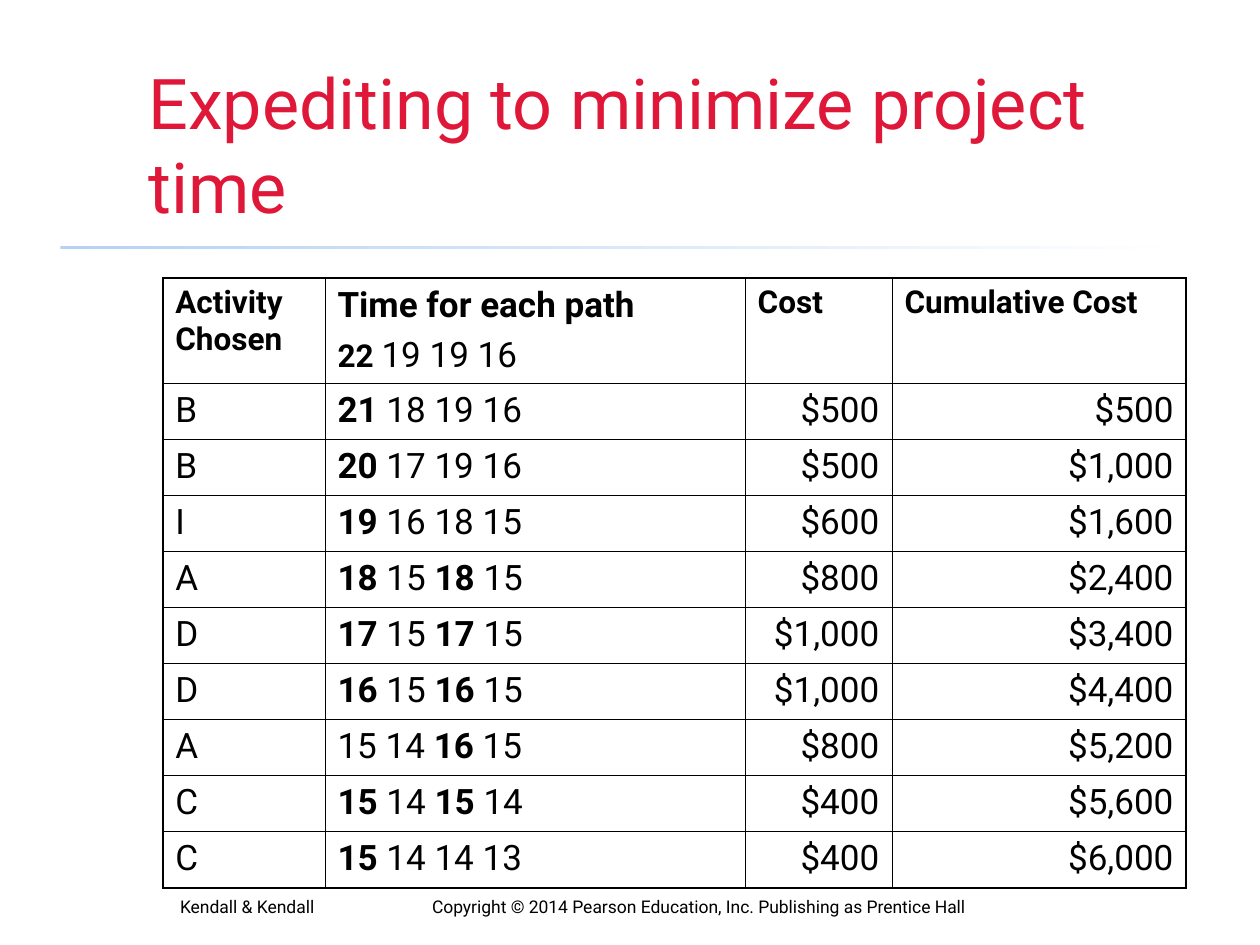
from dataclasses import dataclass
from itertools import accumulate

from pptx import Presentation
from pptx.dml.color import RGBColor
from pptx.enum.shapes import MSO_SHAPE
from pptx.enum.text import MSO_ANCHOR, PP_ALIGN
from pptx.oxml import parse_xml
from pptx.oxml.ns import nsdecls
from pptx.util import Cm, Pt

RECT = MSO_SHAPE.RECTANGLE
TOP, BOTTOM = MSO_ANCHOR.TOP, MSO_ANCHOR.BOTTOM
LEFT, RIGHT = PP_ALIGN.LEFT, PP_ALIGN.RIGHT

FONT = "Roboto"
BLACK = RGBColor(0x00, 0x00, 0x00)
WHITE = RGBColor(0xFF, 0xFF, 0xFF)
RED = RGBColor(0xDF, 0x17, 0x38)
LIGHT_BLUE = RGBColor(0xB5, 0xD2, 0xF5)
THIN, THICK = Pt(0.45), Pt(1.08)


@dataclass
class Step:
    activity: str
    times: tuple[int, ...]
    cost: int


START_TIMES = (22, 19, 19, 16)
STEPS = [
    Step("B", (21, 18, 19, 16), 500),
    Step("B", (20, 17, 19, 16), 500),
    Step("I", (19, 16, 18, 15), 600),
    Step("A", (18, 15, 18, 15), 800),
    Step("D", (17, 15, 17, 15), 1000),
    Step("D", (16, 15, 16, 15), 1000),
    Step("A", (15, 14, 16, 15), 800),
    Step("C", (15, 14, 15, 14), 400),
    Step("C", (15, 14, 14, 13), 400),
]
HEADINGS = [("Activity Chosen", 18), ("Time for each path", 20),
            ("Cost", 18), ("Cumulative Cost", 18)]
COL_WIDTHS = [Cm(3.27), Cm(8.47), Cm(2.96), Cm(5.93)]
HEADER_HEIGHT, ROW_HEIGHT = Cm(2.12), Cm(1.13)


def style_run(r, size: float, bold: bool = False, color: RGBColor = BLACK) -> None:
    r.font.name = FONT
    r.font.size = Pt(size)
    r.font.bold = bold
    r.font.color.rgb = color


def write(p, text: str, size: float, bold: bool = False,
          color: RGBColor = BLACK, align=LEFT) -> None:
    p.text = text
    p.alignment = align
    for r in p.runs:
        style_run(r, size, bold, color)


def write_times(p, times: tuple[int, ...], bold_size: float = 20) -> None:
    """List the path times, with the longest ones in bold."""
    for i, time in enumerate(times):
        critical = time == max(times)
        r = p.add_run()
        r.text = f"{time} " if i < len(times) - 1 else str(time)
        style_run(r, bold_size if critical else 20, critical)


def add_borders(cell, row: int, col: int, last_row: int, last_col: int) -> None:
    """Thick lines round the table, thin ones inside."""
    outer = {"L": col == 0, "R": col == last_col, "T": row == 0, "B": row == last_row}
    tc_pr = cell._tc.get_or_add_tcPr()
    for side, is_outer in outer.items():
        width = THICK if is_outer else THIN
        tc_pr.append(parse_xml(
            f'<a:ln{side} {nsdecls("a")} w="{width}"><a:solidFill>'
            f'<a:srgbClr val="{BLACK}"/></a:solidFill></a:ln{side}>'))
    cell.fill.background()


def add_title(s) -> None:
    title = s.shapes.title
    title.left, title.top, title.width, title.height = Cm(2.74), Cm(1.07), Cm(21.87), Cm(3.18)
    tf = title.text_frame
    tf.vertical_anchor = TOP
    write(tf.paragraphs[0], "Expediting to minimize project time", 40, color=RED)


def add_rule(s) -> None:
    rule = s.shapes.add_shape(RECT, Cm(1.22), Cm(4.95), Cm(22.86), Cm(0.08))
    rule.shadow.inherit = False
    rule.line.fill.background()
    rule.fill.gradient()
    rule.fill.gradient_angle = 0
    for stop, color in zip(rule.fill.gradient_stops, (LIGHT_BLUE, WHITE)):
        stop.color.rgb = color


def add_cost_table(s) -> None:
    n_rows, n_cols = len(STEPS) + 1, len(HEADINGS)
    frame = s.shapes.add_table(n_rows, n_cols, Cm(3.28), Cm(5.61), sum(COL_WIDTHS),
                               HEADER_HEIGHT + len(STEPS) * ROW_HEIGHT)
    table = frame.table
    table.first_row = table.horz_banding = False
    for column, width in zip(table.columns, COL_WIDTHS):
        column.width = width
    for i, row in enumerate(table.rows):
        row.height = ROW_HEIGHT if i else HEADER_HEIGHT
        for j, cell in enumerate(row.cells):
            add_borders(cell, i, j, n_rows - 1, n_cols - 1)

    # Header row, with the times before any expediting
    for j, (text, size) in enumerate(HEADINGS):
        write(table.cell(0, j).text_frame.paragraphs[0], text, size, bold=True)
    p = table.cell(0, 1).text_frame.add_paragraph()
    p.space_before = Pt(5)
    write_times(p, START_TIMES, bold_size=18)

    # One row for each expedited activity
    totals = accumulate(step.cost for step in STEPS)
    for i, (step, total) in enumerate(zip(STEPS, totals), start=1):
        activity, times, cost, cumulative = (
            table.cell(i, j).text_frame.paragraphs[0] for j in range(n_cols))
        write(activity, step.activity, 20)
        write_times(times, step.times)
        write(cost, f"${step.cost:,}", 20, align=RIGHT)
        write(cumulative, f"${total:,}", 20, align=RIGHT)


def add_footer(s) -> None:
    tf = s.shapes.add_textbox(Cm(3.38), Cm(17.35), Cm(16.94), Cm(1.27)).text_frame
    tf.word_wrap = True
    tf.vertical_anchor = BOTTOM
    p = tf.paragraphs[0]
    p._p.get_or_add_pPr().append(parse_xml(
        f'<a:tabLst {nsdecls("a")}><a:tab pos="{Cm(5.08)}" algn="l"/></a:tabLst>'))
    write(p, "Kendall & Kendall\tCopyright © 2014 Pearson Education, Inc. "
             "Publishing as Prentice Hall", 10)


def main() -> None:
    prs = Presentation()
    prs.slide_width, prs.slide_height = Cm(25.4), Cm(19.05)
    s = prs.slides.add_slide(prs.slide_layouts[5])
    add_rule(s)
    add_footer(s)
    add_title(s)
    add_cost_table(s)
    prs.save("out.pptx")


if __name__ == "__main__":
    main()
